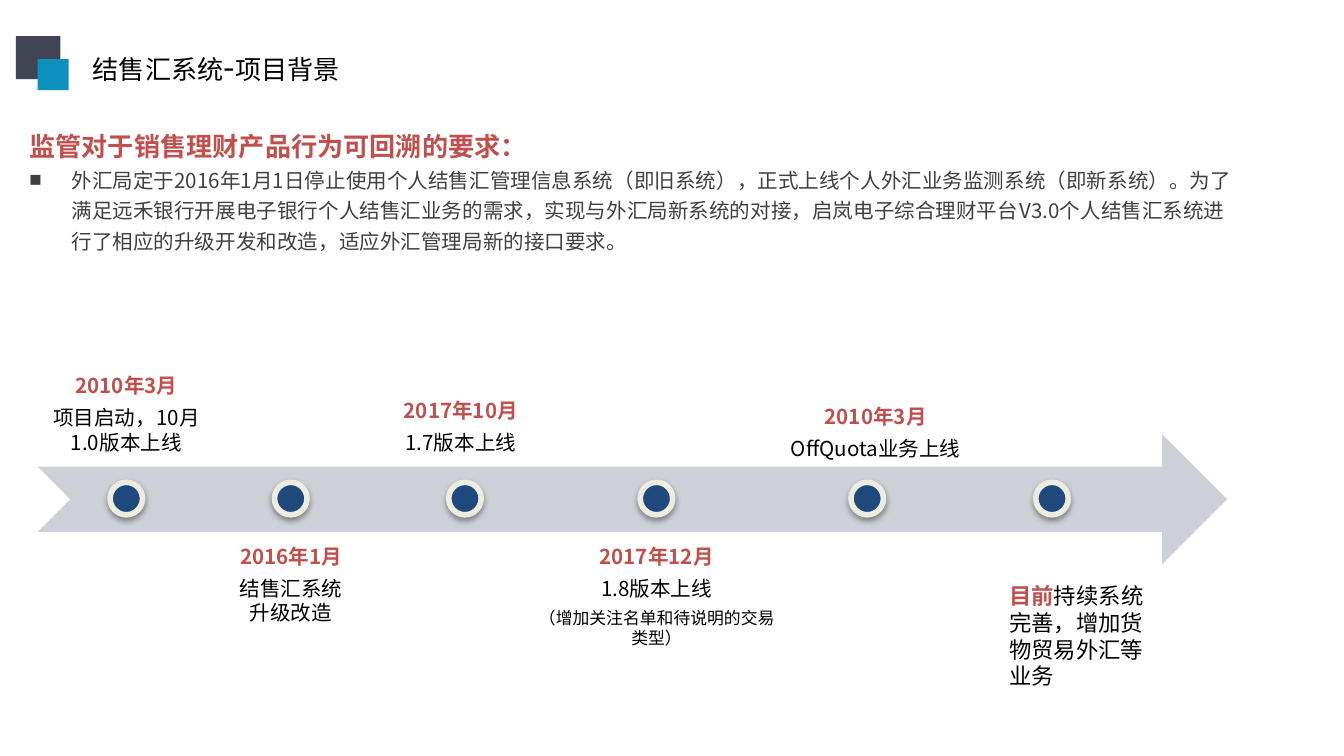
from lxml import etree
from pptx import Presentation
from pptx.dml.color import RGBColor
from pptx.enum.shapes import MSO_SHAPE
from pptx.enum.text import MSO_ANCHOR, MSO_AUTO_SIZE, PP_ALIGN
from pptx.oxml import parse_xml
from pptx.oxml.ns import nsdecls, qn
from pptx.util import Pt

RECTANGLE = MSO_SHAPE.RECTANGLE
ELLIPSE = MSO_SHAPE.OVAL
ARROW = MSO_SHAPE.NOTCHED_RIGHT_ARROW
TOP, BOTTOM = MSO_ANCHOR.TOP, MSO_ANCHOR.BOTTOM
LEFT, CENTER = PP_ALIGN.LEFT, PP_ALIGN.CENTER
NO_FIT = MSO_AUTO_SIZE.NONE

FONT = "Noto Sans CJK SC"
NOTE_FONT = "Calibri"
BLACK = RGBColor(0x00, 0x00, 0x00)
RED = RGBColor(0xC0, 0x50, 0x4D)
GRAY = RGBColor(0x40, 0x40, 0x40)
SLATE = RGBColor(0x41, 0x44, 0x55)
CYAN = RGBColor(0x0E, 0x90, 0xBE)
PALE = RGBColor(0xCD, 0xD0, 0xD7)
NAVY = RGBColor(0x1F, 0x49, 0x7D)
CREAM = RGBColor(0xEE, 0xEC, 0xE1)

LABEL_HEIGHT = 69.8
ABOVE_TOP, BELOW_TOP = 180, 285.1
DOT_TOP, DOT_SIZE = 258.4, 17.4
DOT_LEFTS = (59, 147.1, 240.4, 343, 455.9, 554.9)

# left, top, width, anchor, date, event
MILESTONES = (
    (20.2, ABOVE_TOP, 95, BOTTOM, "2010年3月", "项目启动，10月1.0版本上线"),
    (118.1, BELOW_TOP, 75.6, TOP, "2016年1月", "结售汇系统升级改造"),
    (206.6, ABOVE_TOP, 80.6, BOTTOM, "2017年10月", "1.7版本上线"),
    (280.1, BELOW_TOP, 143.3, TOP, "2017年12月", "1.8版本上线"),
    (416.9, 183.2, 104.4, BOTTOM, "2010年3月", "OffQuota业务上线"),
)
NOTED_DATE = "2017年12月"
NOTE = (("（", FONT), ("增加关注名单和待说明的交易类型", NOTE_FONT), ("）", FONT))


def add_span(para, text, size, color=BLACK, bold=False, font=FONT):
    span = para.add_run()
    span.text = text
    span.font.size = Pt(size)
    span.font.bold = bold
    span.font.color.rgb = color
    span.font.name = font
    east_asian = etree.SubElement(span.font._element, qn("a:ea"))
    east_asian.set("typeface", font)


def place(box, left, top, width, height):
    box.left, box.top = Pt(left), Pt(top)
    box.width, box.height = Pt(width), Pt(height)


def prepare_frame(box, anchor=TOP):
    frame = box.text_frame
    frame.word_wrap = True
    frame.auto_size = NO_FIT
    frame.vertical_anchor = anchor
    return frame


def set_bullet(para, indent, char=None):
    """Set the hanging indent in points, with a bullet only if char is given."""
    props = para._p.get_or_add_pPr()
    props.set("marL", str(Pt(indent)))
    props.set("indent", str(-Pt(indent)))
    bullet = etree.SubElement(props, qn("a:buChar" if char else "a:buNone"))
    if char:
        bullet.set("char", char)


def add_figure(page, kind, left, top, width, height, color):
    figure = page.shapes.add_shape(kind, Pt(left), Pt(top), Pt(width), Pt(height))
    figure.shadow.inherit = False
    figure.fill.solid()
    figure.fill.fore_color.rgb = color
    figure.line.fill.background()
    return figure


def add_dot(page, left):
    dot = add_figure(page, ELLIPSE, left, DOT_TOP, DOT_SIZE, DOT_SIZE, NAVY)
    dot.line.color.rgb = CREAM
    dot.line.width = Pt(3)
    effects = dot._element.spPr.find(qn("a:effectLst"))
    effects.append(parse_xml(
        f'<a:outerShdw {nsdecls("a")} blurRad="40000" dist="20000" dir="5400000"'
        ' rotWithShape="0"><a:srgbClr val="000000"><a:alpha val="38000"/>'
        '</a:srgbClr></a:outerShdw>'))


def add_box(page, left, top, width, height, anchor=TOP):
    box = page.shapes.add_textbox(Pt(left), Pt(top), Pt(width), Pt(height))
    return prepare_frame(box, anchor)


def add_milestone(page, left, top, width, anchor, date, event):
    frame = add_box(page, left, top, width, LABEL_HEIGHT, anchor)
    frame.margin_left = frame.margin_right = Pt(6.2)
    frame.margin_top = frame.margin_bottom = Pt(6.2)
    date_para, event_para = frame.paragraphs[0], frame.add_paragraph()
    add_span(date_para, date, 11, RED, True)
    add_span(event_para, event, 11)
    if date == NOTED_DATE:
        note_para = frame.add_paragraph()
        for text, font in NOTE:
            add_span(note_para, text, 9, font=font)
    for para in frame.paragraphs:
        para.alignment = CENTER
        para.space_after = Pt(3.85)


def fill_title(page):
    title = page.shapes.title
    place(title, 42.5, 20.9, 149.8, 28.8)
    para = prepare_frame(title).paragraphs[0]
    para.alignment = LEFT
    add_span(para, "结售汇系统", 14)
    add_span(para, "-", 18)
    add_span(para, "项目背景", 14)


def fill_body(page):
    body = page.placeholders[1]
    place(body, 8.6, 61.9, 663.1, 78.5)
    frame = prepare_frame(body)
    heading, detail = frame.paragraphs[0], frame.add_paragraph()
    for para in (heading, detail):
        para.line_spacing = 1.25
        para.space_before = Pt(0)
    set_bullet(heading, 0)
    set_bullet(detail, 22.5, "■")
    add_span(heading, "监管对于销售理财产品行为可回溯的要求：", 14, RED, True)
    add_span(
        detail,
        "外汇局定于2016年1月1日停止使用个人结售汇管理信息系统（即旧系统），"
        "正式上线个人外汇业务监测系统（即新系统）。为了满足远禾银行开展电子银行"
        "个人结售汇业务的需求，实现与外汇局新系统的对接，启岚电子综合理财平台V3.0"
        "个人结售汇系统进行了相应的升级开发和改造，适应外汇管理局新的接口要求。",
        11, GRAY)


def add_current_status(page):
    para = add_box(page, 533.5, 308.2, 97.2, 65.5).paragraphs[0]
    add_span(para, "目前", 12, RED, True)
    add_span(para, "持续系统完善，增加货物贸易外汇等业务", 12)


def main():
    deck = Presentation()
    deck.slide_width, deck.slide_height = Pt(720), Pt(405)
    page = deck.slides.add_slide(deck.slide_layouts[1])
    fill_title(page)
    add_figure(page, RECTANGLE, 8.6, 19.4, 23.8, 23, SLATE)
    add_figure(page, RECTANGLE, 20.2, 31.7, 16.6, 16.6, CYAN)
    fill_body(page)
    add_figure(page, ARROW, 20.2, 232.6, 637.2, 69.8, PALE)
    for milestone in MILESTONES:
        add_milestone(page, *milestone)
    for left in DOT_LEFTS:
        add_dot(page, left)
    add_current_status(page)
    deck.save("out.pptx")


if __name__ == "__main__":
    main()
